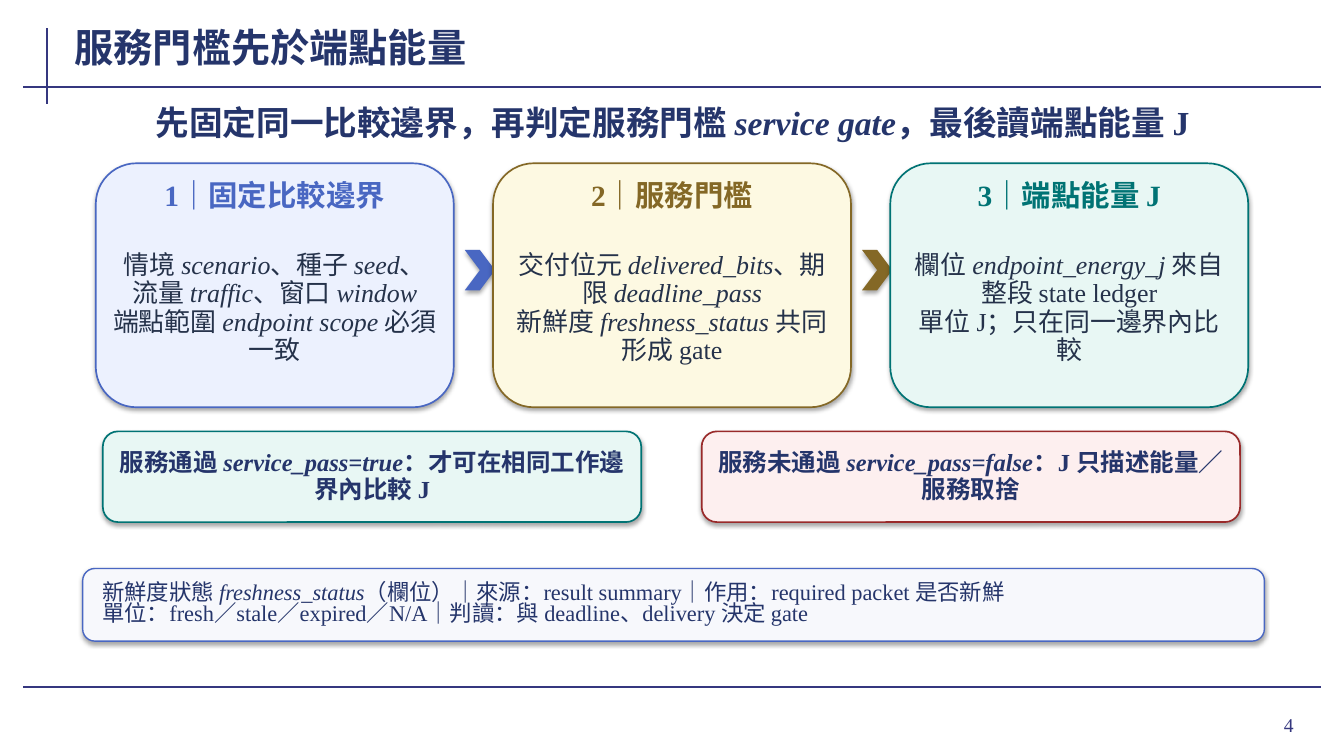
import pptx
import pptx.util
import pptx.dml.color
import pptx.enum.shapes
import pptx.enum.text
import pptx.oxml
import pptx.oxml.ns

Inches = pptx.util.Inches
SHAPES = pptx.enum.shapes.MSO_SHAPE
ALIGN = pptx.enum.text.PP_ALIGN
FONT = "Times New Roman"
COLORS = {
    "rule": "35377F", "navy": "25356B", "body": "25324A",
    "blue": "4967C2", "pale_blue": "ECF1FE", "mist": "F7F8FC",
    "gold": "846826", "pale_gold": "FDF9E2",
    "teal": "007374", "pale_teal": "E8F7F4",
    "red": "992A2A", "pale_red": "FDEFEF",
}
STEPS = [
    ("1｜固定比較邊界", "blue", "pale_blue",
     "情境 *scenario*、種子 *seed*、流量 *traffic*、窗口 *window*\n"
     "端點範圍 *endpoint scope* 必須一致"),
    ("2｜服務門檻", "gold", "pale_gold",
     "交付位元 *delivered_bits*、期限 *deadline_pass*\n"
     "新鮮度 *freshness_status* 共同形成 gate"),
    ("3｜端點能量 J", "teal", "pale_teal",
     "欄位 *endpoint_energy_j* 來自整段 state ledger\n"
     "單位 J；只在同一邊界內比較"),
]
OUTCOMES = [
    ("服務通過 *service_pass=true*：才可在相同工作邊界內比較 J", "teal", "pale_teal"),
    ("服務未通過 *service_pass=false*：J 只描述能量／服務取捨", "red", "pale_red"),
]
FIELD_NOTE = (
    "新鮮度狀態 *freshness_status*（欄位）｜來源：result summary｜作用：required packet 是否新鮮\n"
    "單位：fresh／stale／expired／N/A｜判讀：與 deadline、delivery 決定 gate"
)


def rgb(name):
    """Return the palette colour with the given name."""
    return pptx.dml.color.RGBColor.from_string(COLORS[name])


def write_text(shape, text, size, color="navy", bold=False, align=ALIGN.CENTER,
               spacing=None, inset=(0.02, 0.01)):
    """Fill a shape with lines of text in which *stars* mark italics."""
    frame = shape.text_frame
    frame.word_wrap = True
    frame.auto_size = pptx.enum.text.MSO_AUTO_SIZE.NONE
    frame.vertical_anchor = pptx.enum.text.MSO_ANCHOR.MIDDLE
    frame.margin_left = frame.margin_right = Inches(inset[0])
    frame.margin_top = frame.margin_bottom = Inches(inset[1])
    for index, line in enumerate(text.split("\n")):
        paragraph = frame.add_paragraph() if index else frame.paragraphs[0]
        paragraph.alignment = align
        if spacing:
            paragraph.line_spacing = spacing
        for position, part in enumerate(line.split("*")):
            if part:
                run = paragraph.add_run()
                run.text = part
                run.font.name = FONT
                run.font.size = pptx.util.Pt(size)
                run.font.bold = bold
                run.font.italic = position % 2 == 1
                run.font.color.rgb = rgb(color)


def add_text(slide, box, text, **style):
    """Add a text box at left, top, width, height."""
    write_text(slide.shapes.add_textbox(*map(Inches, box)), text, **style)


def add_panel(slide, kind, box, fill, line=None, width=1.2):
    """Add a filled shape with a soft shadow below it."""
    shape = slide.shapes.add_shape(kind, *map(Inches, box))
    shape.fill.solid()
    shape.fill.fore_color.rgb = rgb(fill)
    if line:
        shape.line.color.rgb = rgb(line)
        shape.line.width = pptx.util.Pt(width)
    else:
        shape.line.fill.background()
    shape.shadow.inherit = False
    effects = shape.element.spPr.find(pptx.oxml.ns.qn("a:effectLst"))
    effects.append(pptx.oxml.parse_xml(
        f'<a:outerShdw {pptx.oxml.ns.nsdecls("a")} blurRad="40000" dist="23000" '
        'dir="5400000" rotWithShape="0"><a:srgbClr val="000000">'
        '<a:alpha val="35000"/></a:srgbClr></a:outerShdw>'))
    return shape


def add_rule(slide, start, end):
    """Draw one straight rule of the slide frame."""
    rule = slide.shapes.add_connector(
        pptx.enum.shapes.MSO_CONNECTOR.STRAIGHT, *map(Inches, start + end))
    rule.line.color.rgb = rgb("rule")
    rule.line.width = pptx.util.Pt(1.5)
    rule.element.spPr.append(pptx.oxml.parse_xml(
        f'<a:effectLst {pptx.oxml.ns.nsdecls("a")}/>'))


def add_frame(slide, title, number):
    """Place the rules, the title and the slide number."""
    add_rule(slide, (0.47, 0.28), (0.47, 1.03))
    for y in (0.86, 6.82):
        add_rule(slide, (0.23, y), (13.1, y))
    add_text(slide, (11.96, 6.93, 0.97, 0.52), number, size=14, color="rule",
             align=ALIGN.RIGHT, inset=(0.1, 0.05))
    heading = slide.shapes.title
    heading.left, heading.top, heading.width, heading.height = map(
        Inches, (0.72, 0.2, 10.35, 0.53))
    write_text(heading, title, size=28, bold=True, align=ALIGN.LEFT, inset=(0.02, 0))


def add_step(slide, box, heading, color, fill, body):
    """Place one step card with its heading and body."""
    left, top, width, height = box
    add_panel(slide, SHAPES.ROUNDED_RECTANGLE, box, fill, color)
    add_text(slide, (left + 0.1, top + 0.12, width - 0.2, 0.38), heading,
             size=21, color=color, bold=True)
    add_text(slide, (left + 0.14, top + 0.58, width - 0.28, height - 0.7), body,
             size=18.5, color="body", spacing=0.92)


def add_steps(slide, box):
    """Spread the step cards over the box with a chevron after each but the last."""
    left, top, width, height = box
    card = 3.55
    pitch = (width - card) / (len(STEPS) - 1)
    for index, (heading, color, fill, body) in enumerate(STEPS):
        x = left + index * pitch
        add_step(slide, (x, top, card, height), heading, color, fill, body)
        if index < len(STEPS) - 1:
            add_panel(slide, SHAPES.CHEVRON, (x + card + 0.11, top + 0.86, 0.3, 0.4), color)


def add_outcomes(slide, box):
    """Place the two outcome panels side by side in the box."""
    left, top, width, height = box
    gap = 0.6
    panel_width = (width - gap) / 2
    for index, (text, color, fill) in enumerate(OUTCOMES):
        x = left + index * (panel_width + gap)
        panel = add_panel(slide, SHAPES.ROUNDED_RECTANGLE,
                          (x, top, panel_width, height), fill, color)
        write_text(panel, text, size=17.5, bold=True, spacing=0.94, inset=(0.1, 0.04))


def add_field_note(slide, box):
    """Place the field note in the box."""
    panel = add_panel(slide, SHAPES.ROUNDED_RECTANGLE, box, "mist", "blue", width=1)
    write_text(panel, FIELD_NOTE, size=16, align=ALIGN.LEFT, spacing=0.78,
               inset=(0.16, 0.02))


def main():
    """Build the slide and save it."""
    presentation = pptx.Presentation()
    presentation.slide_width = Inches(13.33)
    presentation.slide_height = Inches(7.5)
    slide = presentation.slides.add_slide(presentation.slide_layouts[5])
    add_frame(slide, "服務門檻先於端點能量", "4")
    add_text(slide, (0.98, 1, 11.38, 0.42),
             "先固定同一比較邊界，再判定服務門檻 *service gate*，最後讀端點能量 J",
             size=24, bold=True)
    add_steps(slide, (0.95, 1.62, 11.43, 2.42))
    add_outcomes(slide, (1.02, 4.28, 11.28, 0.9))
    add_field_note(slide, (0.82, 5.64, 11.72, 0.72))
    presentation.save("out.pptx")


if __name__ == "__main__":
    main()
